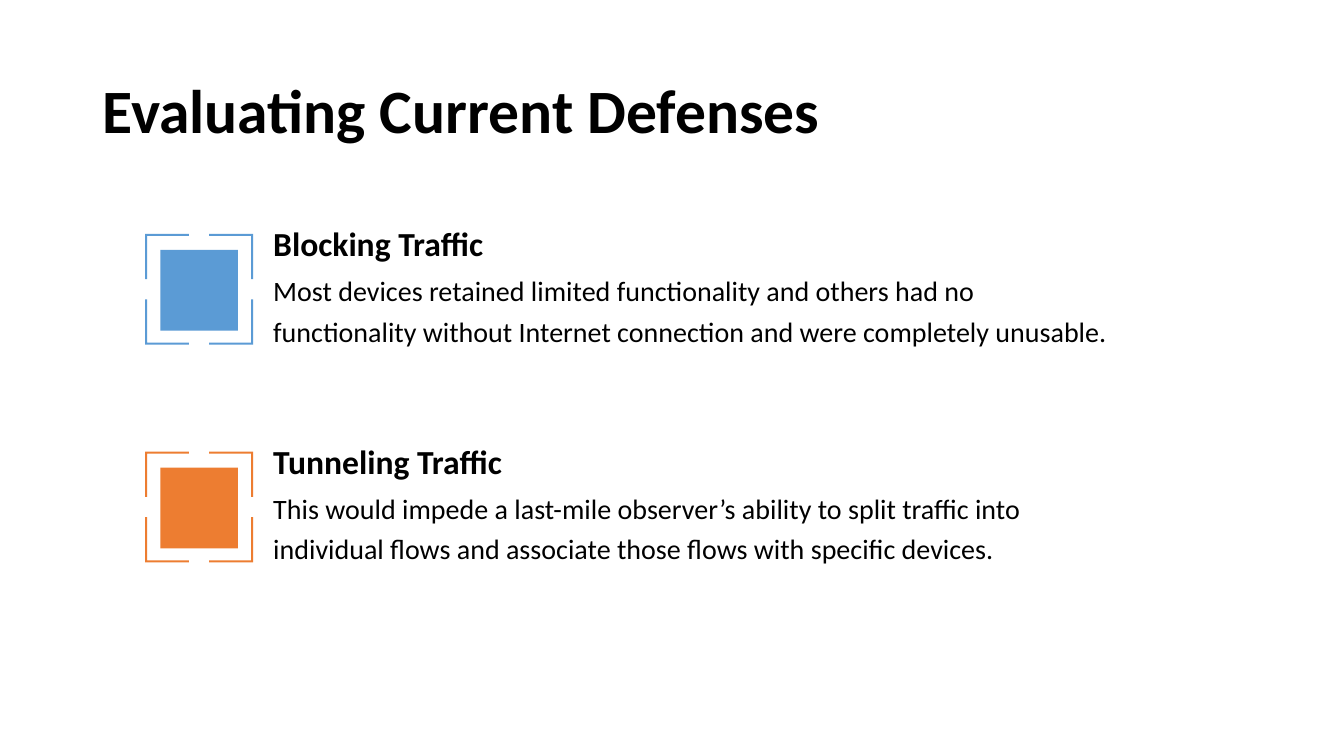
from pptx import Presentation
from pptx.dml.color import RGBColor
from pptx.enum.shapes import MSO_SHAPE
from pptx.enum.text import MSO_ANCHOR
from pptx.util import Inches, Pt

RECT = MSO_SHAPE.RECTANGLE
TOP, MIDDLE, BOTTOM = MSO_ANCHOR.TOP, MSO_ANCHOR.MIDDLE, MSO_ANCHOR.BOTTOM
BLACK = RGBColor(0x00, 0x00, 0x00)
BLUE = RGBColor(0x5B, 0x9B, 0xD5)
ORANGE = RGBColor(0xED, 0x7D, 0x31)
FONT = "Calibri"

FIRST, PITCH = 2.07, 2.16  # top of the first row, step between rows
ROWS = [
    (BLUE, "Blocking Traffic",
     "Most devices retained limited functionality and others had no "
     "functionality without Internet connection and were completely unusable.",
     8.44),
    (ORANGE, "Tunneling Traffic",
     "This would impede a last-mile observer’s ability to split traffic into "
     "individual flows and associate those flows with specific devices.",
     8.55),
]


def add_text(slide, box, text, size, bold=False, anchor=TOP, space=1.0, inset=True):
    frame = slide.shapes.add_textbox(*map(Inches, box)).text_frame
    frame.word_wrap = True
    frame.vertical_anchor = anchor
    if not inset:
        frame.margin_left = frame.margin_right = 0
        frame.margin_top = frame.margin_bottom = 0
    frame.text = text
    line = frame.paragraphs[0]
    line.line_spacing = space
    font = line.runs[0].font
    font.name, font.size, font.bold = FONT, Pt(size), bold
    font.color.rgb = BLACK


def paint(shape, color):
    shape.shadow.inherit = False
    shape.fill.solid()
    shape.fill.fore_color.rgb = color
    shape.line.fill.background()


def add_square(slide, box, color):
    paint(slide.shapes.add_shape(RECT, *map(Inches, box)), color)


def add_frame(slide, left, top, width, height, color, gap=0.2, thick=0.02):
    """Draw four corner brackets, mirrored about the centre, as one outline."""
    mid_x, mid_y = left + width / 2, top + height / 2
    far_x, far_y, near = width / 2, height / 2, gap / 2
    corner = [
        (far_x - thick, near), (far_x, near), (far_x, far_y),
        (near, far_y), (near, far_y - thick), (far_x - thick, far_y - thick),
    ]
    pen = None
    for sx, sy in [(1, 1), (-1, 1), (1, -1), (-1, -1)]:
        start, *rest = [(Inches(mid_x + sx * x), Inches(mid_y + sy * y))
                        for x, y in corner]
        if pen is None:
            pen = slide.shapes.build_freeform(*start)
        else:
            pen.move_to(*start)
        pen.add_line_segments(rest, close=True)
    paint(pen.convert_to_shape(), color)


def add_row(slide, top, color, head, body, width):
    add_square(slide, (1.59, top + 0.41, 0.77, 0.8), color)
    add_frame(slide, 1.44, top + 0.25, 1.07, 1.1, color)
    add_text(slide, (2.71, top, 5.59, 0.54), head, 24, bold=True,
             anchor=BOTTOM, inset=False)
    add_text(slide, (2.71, top + 0.58, width, 0.8), body, 20,
             space=1.2, inset=False)


def main():
    deck = Presentation()
    deck.slide_width, deck.slide_height = Inches(13.33), Inches(7.5)
    slide = deck.slides.add_slide(deck.slide_layouts[6])

    # Title
    add_text(slide, (0.92, 0.4, 11.5, 1.45), "Evaluating Current Defenses", 44,
             bold=True, anchor=MIDDLE, space=0.9)

    # Defenses
    for i, row in enumerate(ROWS):
        add_row(slide, FIRST + i * PITCH, *row)

    deck.save("out.pptx")


main()
